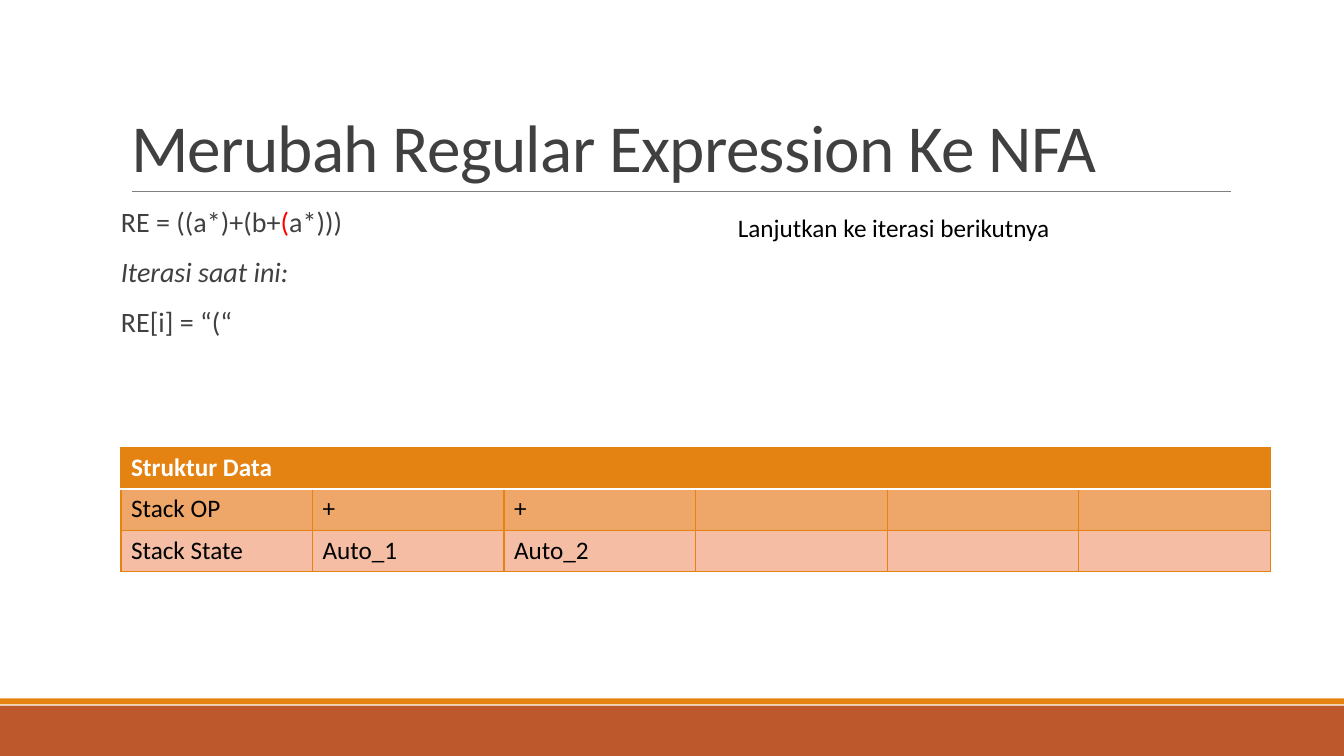
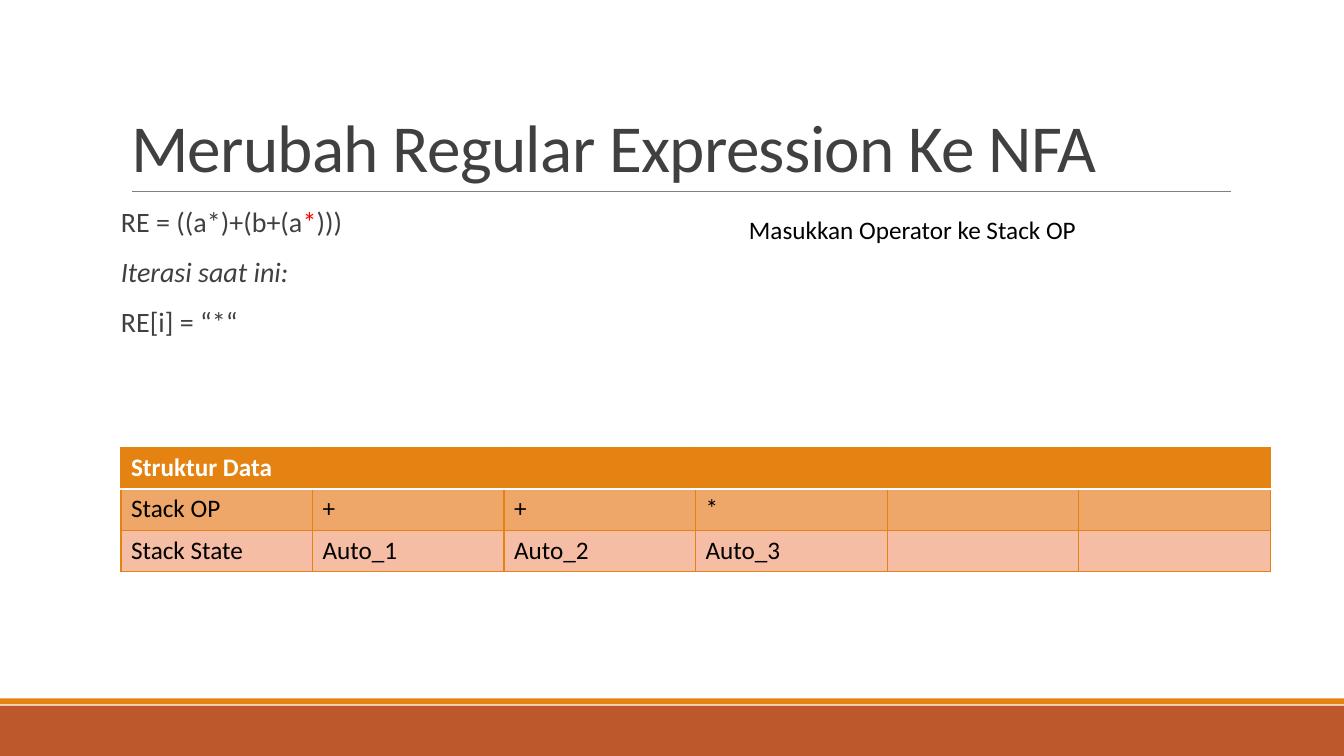
from lxml.etree import SubElement
from pptx import Presentation
from pptx.dml.color import RGBColor
from pptx.enum.shapes import MSO_CONNECTOR, MSO_SHAPE
from pptx.enum.text import MSO_ANCHOR, MSO_AUTO_SIZE, PP_ALIGN
from pptx.oxml.ns import qn
from pptx.util import Inches, Pt

FONT = "Calibri"
ORANGE = RGBColor(0xE4, 0x83, 0x12)
RUST = RGBColor(0xBD, 0x58, 0x2C)
LIGHT_ORANGE = RGBColor(0xEE, 0xA6, 0x69)
SALMON = RGBColor(0xF5, 0xBD, 0xA4)
GRAY = RGBColor(0x80, 0x80, 0x80)
DARK = RGBColor(0x40, 0x40, 0x40)
RED = RGBColor(0xFF, 0, 0)
BLACK = RGBColor(0, 0, 0)
WHITE = RGBColor(0xFF, 0xFF, 0xFF)

WIDTH, HEIGHT = 13.33, 7.5
LEFT, CONTENT_WIDTH = 1.2, 11
RULE_TOP = 1.9
COLUMNS, COLUMN_WIDTH, ROW_HEIGHT, TABLE_TOP = 6, 1.9, 0.41, 4.44

TITLE = "Merubah Regular Expression Ke NFA"
BANDS = [(7, 0.5, RUST), (6.93, 0.06, ORANGE)]  # top, height, colour
ROW_STYLES = [  # fill, text colour, bold
    (ORANGE, WHITE, True),
    (LIGHT_ORANGE, BLACK, False),
    (SALMON, BLACK, False),
]
ITERATIONS = [
    {
        "expression": ("RE = ((a*)+(b+", "(", "a*)))"),
        "note": "Lanjutkan ke iterasi berikutnya",
        "note_box": (7.22, 2.06, 3.33, 0.4),
        "operators": ["+", "+"],
        "states": ["Auto_1", "Auto_2"],
    },
    {
        "expression": ("RE = ((a*)+(b+(a", "*", ")))"),
        "note": "Masukkan Operator ke Stack OP",
        "note_box": (7.33, 2.08, 3.48, 0.4),
        "operators": ["+", "+", "*"],
        "states": ["Auto_1", "Auto_2", "Auto_3"],
    },
]


def inches(*lengths):
    return [Inches(length) for length in lengths]


def set_all(target, values):
    for name, value in values.items():
        setattr(target, name, value)


def add_run(paragraph, text, size, color, **style):
    run = paragraph.add_run()
    run.text = text
    set_all(run.font, {"name": FONT, "size": Pt(size), **style})
    run.font.color.rgb = color
    return run


def add_bands_and_rule(slide):
    for top, height, color in BANDS:
        band = slide.shapes.add_shape(MSO_SHAPE.RECTANGLE, *inches(0, top, WIDTH, height))
        band.shadow.inherit = False
        band.fill.solid()
        band.fill.fore_color.rgb = color
        band.line.fill.background()
    rule = slide.shapes.add_connector(
        MSO_CONNECTOR.STRAIGHT, *inches(1.31, RULE_TOP, 12.21, RULE_TOP))
    rule.line.color.rgb = GRAY
    rule.line.width = Pt(0.5)
    SubElement(rule._element.spPr, qn("a:effectLst"))


def format_title(title):
    box = inches(LEFT, 0.31, CONTENT_WIDTH, RULE_TOP - 0.31)
    set_all(title, dict(zip(("left", "top", "width", "height"), box)))
    set_all(title.text_frame, {
        "word_wrap": True, "auto_size": MSO_AUTO_SIZE.NONE,
        "vertical_anchor": MSO_ANCHOR.BOTTOM})
    paragraph = title.text_frame.paragraphs[0]
    set_all(paragraph, {"alignment": PP_ALIGN.LEFT, "line_spacing": 0.85})
    run = add_run(paragraph, TITLE, 48, DARK)
    run._r.get_or_add_rPr().set("spc", "-50")


def add_iteration_text(slide, expression):
    before, current, after = expression
    lines = [
        [(before, DARK, False), (current, RED, False), (after, DARK, False)],
        [("Iterasi saat ini:", DARK, True)],
        [(f"RE[i] = “{current}“", DARK, False)],
    ]
    frame = slide.shapes.add_textbox(*inches(LEFT, 2.02, CONTENT_WIDTH, 4.4)).text_frame
    set_all(frame, {"word_wrap": True, "margin_left": 0, "margin_right": 0})
    for index, line in enumerate(lines):
        paragraph = frame.add_paragraph() if index else frame.paragraphs[0]
        set_all(paragraph, {
            "line_spacing": 0.9, "space_before": Pt(12), "space_after": Pt(2)})
        for text, color, italic in line:
            add_run(paragraph, text, 20, color, italic=italic)


def add_borders(cell, row):
    """Orange on every side, white between the heading and the first row."""
    properties = cell._tc.get_or_add_tcPr()
    white_side = {0: "B", 1: "T"}.get(row)
    for side in "LRTB":
        color, width = (WHITE, 1.25) if side == white_side else (ORANGE, 1)
        line = SubElement(properties, qn(f"a:ln{side}"), w=str(Pt(width)))
        SubElement(SubElement(line, qn("a:solidFill")), qn("a:srgbClr"), val=str(color))


def add_stack_table(slide, operators, states):
    rows = [["Struktur Data"], ["Stack OP", *operators], ["Stack State", *states]]
    table = slide.shapes.add_table(len(rows), COLUMNS, *inches(
        LEFT, TABLE_TOP, COLUMNS * COLUMN_WIDTH, len(rows) * ROW_HEIGHT)).table
    set_all(table, {"first_row": False, "horz_banding": False})
    for row, (texts, (fill, color, bold)) in enumerate(zip(rows, ROW_STYLES)):
        for column in range(COLUMNS):
            cell = table.cell(row, column)
            add_borders(cell, row)
            cell.fill.solid()
            cell.fill.fore_color.rgb = fill
            if column < len(texts):
                add_run(cell.text_frame.paragraphs[0], texts[column], 18, color, bold=bold)


def add_note(slide, text, box):
    frame = slide.shapes.add_textbox(*inches(*box)).text_frame
    set_all(frame, {"word_wrap": False, "auto_size": MSO_AUTO_SIZE.SHAPE_TO_FIT_TEXT})
    add_run(frame.paragraphs[0], text, 18, BLACK)


def main():
    presentation = Presentation()
    set_all(presentation, {"slide_width": Inches(WIDTH), "slide_height": Inches(HEIGHT)})
    title_only = presentation.slide_layouts.get_by_name("Title Only")
    for iteration in ITERATIONS:
        slide = presentation.slides.add_slide(title_only)
        add_bands_and_rule(slide)
        format_title(slide.shapes.title)
        add_iteration_text(slide, iteration["expression"])
        add_stack_table(slide, iteration["operators"], iteration["states"])
        add_note(slide, iteration["note"], iteration["note_box"])
    presentation.save("out.pptx")


if __name__ == "__main__":
    main()
